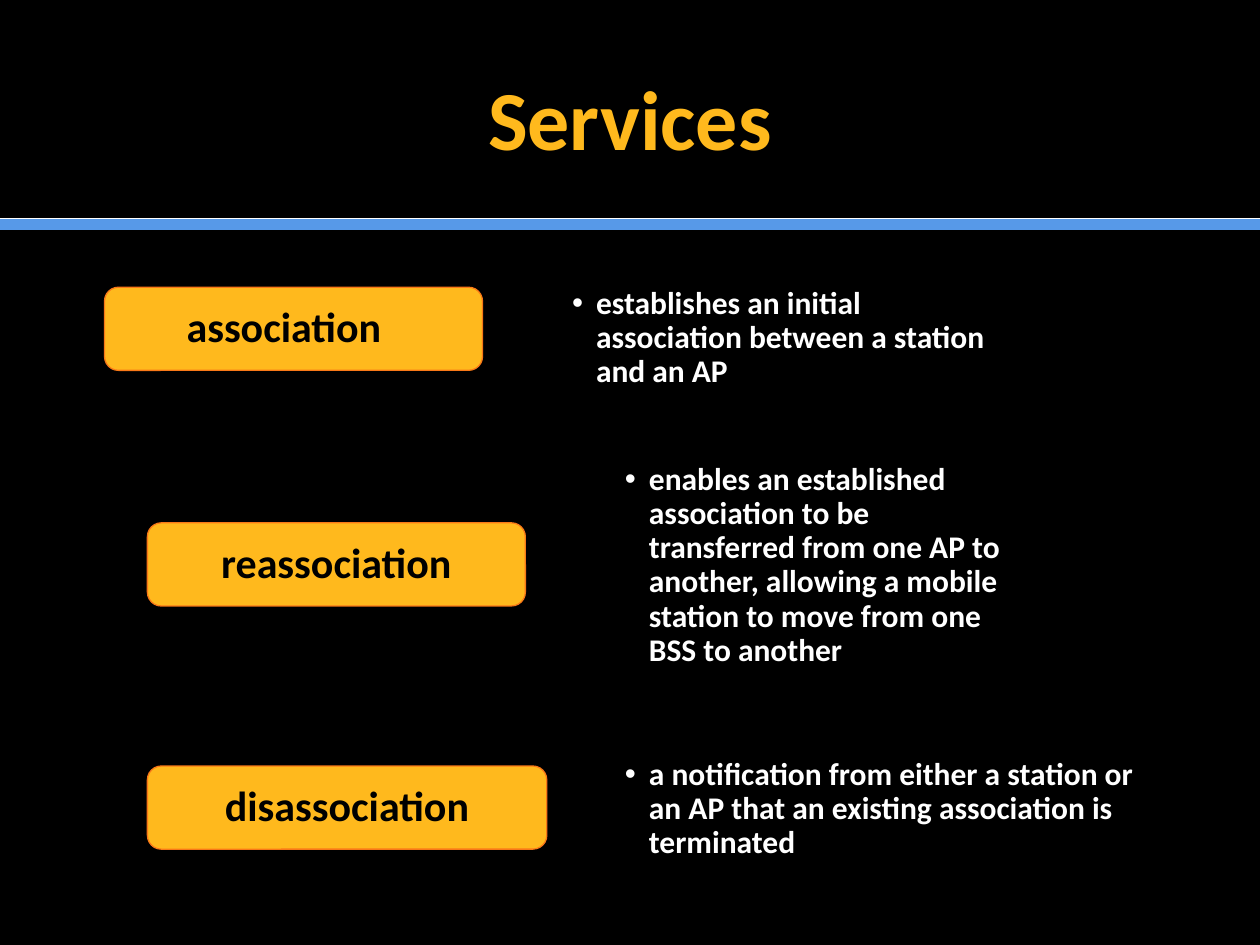
from lxml.etree import SubElement
from pptx import Presentation
from pptx.dml.color import RGBColor
from pptx.enum.shapes import MSO_CONNECTOR, MSO_SHAPE
from pptx.enum.text import MSO_ANCHOR, MSO_AUTO_SIZE, PP_ALIGN
from pptx.oxml.ns import qn
from pptx.util import Inches, Pt

BLACK = RGBColor(0x00, 0x00, 0x00)
WHITE = RGBColor(0xFF, 0xFF, 0xFF)
AMBER = RGBColor(0xFF, 0xB9, 0x1D)
ORANGE = RGBColor(0xF9, 0x78, 0x17)
BLUE = RGBColor(0x57, 0x99, 0xE8)

LABEL_HEIGHT = 0.66
BULLET_INDENT = Inches(0.19)

# name, label (left, top, width), extra right inset,
# description, description box (left, top, width, height)
SERVICES = [
    ("association", (0.83, 2.28, 3), 0.15,
     "establishes an initial association between a station and an AP",
     (4.25, 2.25, 3.83, 0.74)),
    ("reassociation", (1.17, 4.15, 3), 0,
     "enables an established association to be transferred from one AP to "
     "another, allowing a mobile station to move from one BSS to another",
     (4.67, 3.65, 3.5, 1.94)),
    ("disassociation", (1.17, 6.08, 3.17), 0,
     "a notification from either a station or an AP that an existing "
     "association is terminated",
     (4.67, 5.99, 4.5, 1.12)),
]


def place(shape, left, top, width, height):
    shape.left, shape.top = Inches(left), Inches(top)
    shape.width, shape.height = Inches(width), Inches(height)


def format_text(text_frame, size, color, alignment, anchor):
    text_frame.word_wrap = True
    text_frame.auto_size = MSO_AUTO_SIZE.NONE
    text_frame.vertical_anchor = anchor
    paragraph = text_frame.paragraphs[0]
    paragraph.alignment = alignment
    paragraph.space_before = Pt(0)
    font = paragraph.runs[0].font
    font.name, font.size, font.bold = "Calibri", Pt(size), True
    font.color.rgb = color
    return paragraph


presentation = Presentation()
presentation.slide_width, presentation.slide_height = Inches(10), Inches(7.5)
slide = presentation.slides.add_slide(presentation.slide_layouts.get_by_name("Comparison"))
slide.background.fill.solid()
slide.background.fill.fore_color.rgb = BLACK

# Title and the rule below it
title, *bodies = [shape for shape in slide.placeholders]
place(title, 0.5, 0.3, 9, 1.25)
title.text_frame.text = "Services"
format_text(title.text_frame, 48, AMBER, PP_ALIGN.CENTER, MSO_ANCHOR.MIDDLE)

for top, color, weight in [(1.78, BLUE, 7), (1.73, WHITE, 0.5)]:
    rule = slide.shapes.add_connector(
        MSO_CONNECTOR.STRAIGHT, 0, Inches(top), presentation.slide_width, Inches(top))
    rule.line.color.rgb = color
    rule.line.width = Pt(weight)
    SubElement(rule.element.spPr, qn("a:effectLst"))

# One label and one bulleted description per service
for service, body in zip(SERVICES, bodies):
    name, label_box, extra_inset, description, description_box = service

    label = slide.shapes.add_shape(MSO_SHAPE.ROUNDED_RECTANGLE, 0, 0, 0, 0)
    place(label, *label_box, LABEL_HEIGHT)
    label.shadow.inherit = False
    label.fill.solid()
    label.fill.fore_color.rgb = AMBER
    label.line.color.rgb = ORANGE
    label.line.width = Pt(0.75)
    label.text_frame.text = name
    label.text_frame.margin_right = Inches(0.1 + extra_inset)
    paragraph = format_text(label.text_frame, 24, BLACK, PP_ALIGN.CENTER, MSO_ANCHOR.MIDDLE)
    paragraph.line_spacing = 0.9

    place(body, *description_box)
    text_frame = body.text_frame
    text_frame.text = description
    text_frame.margin_left, text_frame.margin_right = Inches(0.29), Inches(0.14)
    text_frame.margin_top = text_frame.margin_bottom = Inches(0.03)
    paragraph = format_text(text_frame, 18, WHITE, PP_ALIGN.LEFT, MSO_ANCHOR.TOP)
    paragraph.line_spacing = 0.9
    properties = paragraph._p.get_or_add_pPr()
    properties.set("marL", str(BULLET_INDENT))
    properties.set("indent", str(-BULLET_INDENT))
    SubElement(properties, qn("a:buFont"), typeface="Arial")
    SubElement(properties, qn("a:buChar"), char="•")

for unused in bodies[len(SERVICES):]:
    unused.element.getparent().remove(unused.element)

presentation.save("out.pptx")
